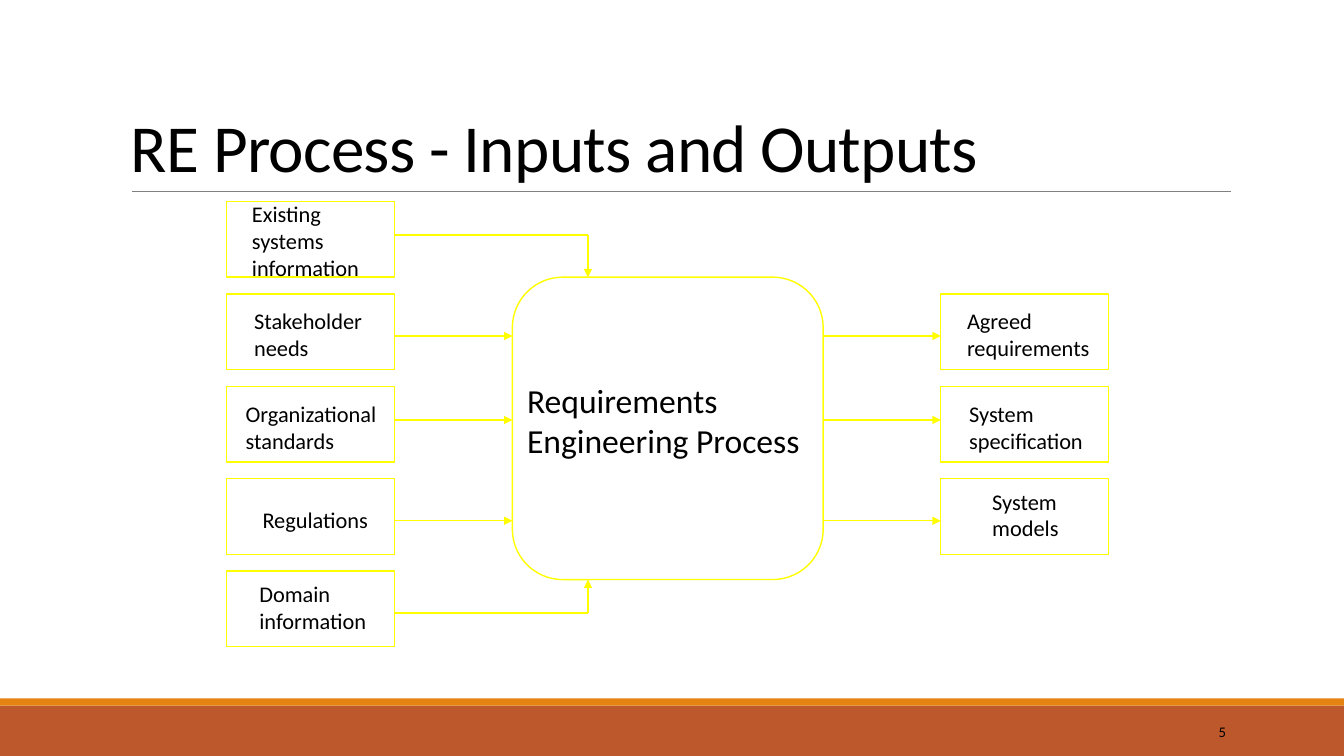
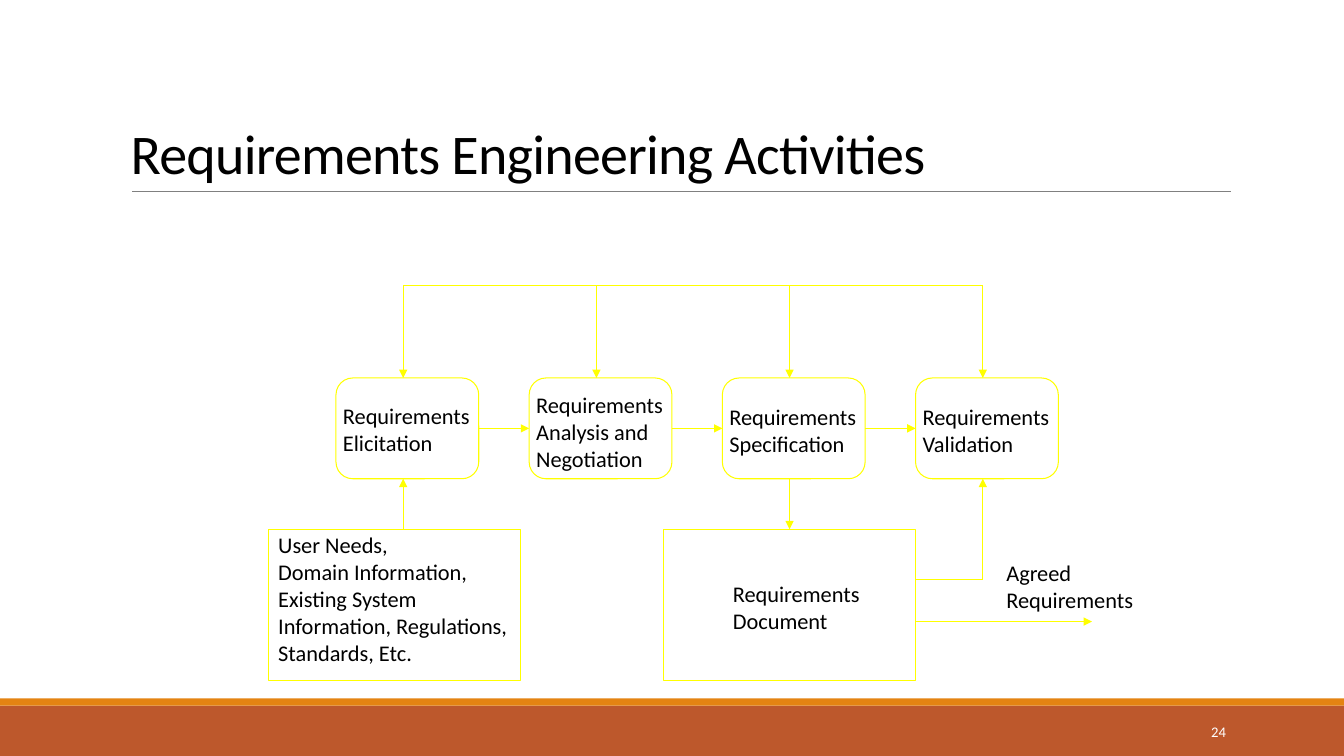
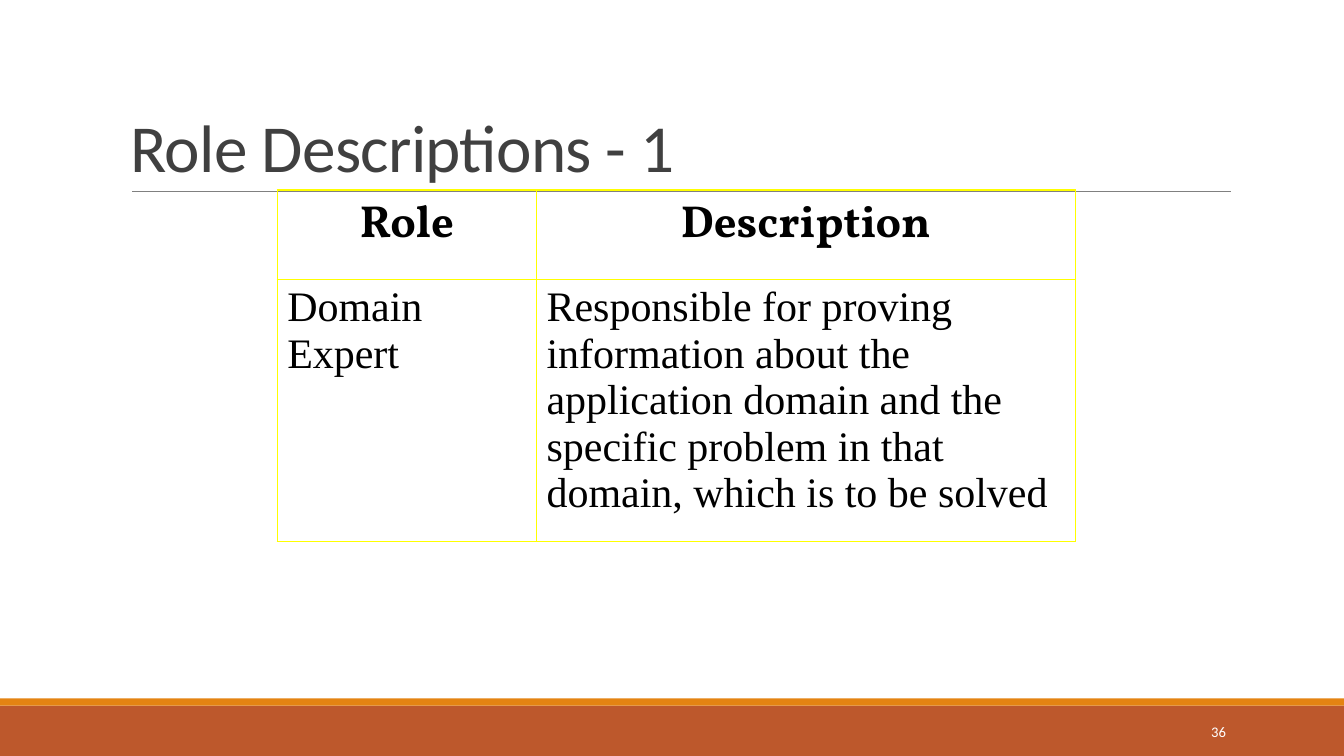
from lxml.etree import SubElement
from pptx import Presentation
from pptx.dml.color import RGBColor
from pptx.enum.shapes import MSO_CONNECTOR, MSO_SHAPE
from pptx.enum.text import MSO_ANCHOR as ANCHOR, PP_ALIGN as ALIGN
from pptx.oxml.ns import qn
from pptx.util import Pt

PX = 9525  # EMU per px, 96 px to the inch
RECT, ROUND = MSO_SHAPE.RECTANGLE, MSO_SHAPE.ROUNDED_RECTANGLE
YELLOW, BLACK, WHITE, DARK, GREY = "FFFF00", "000000", "FFFFFF", "404040", "808080"
RUST, ORANGE = "BD582C", "E48312"
rgb = RGBColor.from_string


def write(frame, lines, size, color=BLACK, font="Calibri", align=ALIGN.LEFT, bold=False):
    """Fill a text frame with one paragraph per line."""
    frame.word_wrap = True
    for i, line in enumerate(lines):
        paragraph = frame.add_paragraph() if i else frame.paragraphs[0]
        paragraph.alignment = align
        run = paragraph.add_run()
        run.text = line
        run.font.size, run.font.name, run.font.bold = Pt(size), font, bold
        run.font.color.rgb = rgb(color)


def draw_line(slide, x1, y1, x2, y2, weight, arrow=False, color=YELLOW):
    connector = slide.shapes.add_connector(
        MSO_CONNECTOR.STRAIGHT, x1 * PX, y1 * PX, x2 * PX, y2 * PX)
    connector.line.color.rgb = rgb(color)
    connector.line.width = Pt(weight)
    if arrow:
        SubElement(connector.line._get_or_add_ln(), qn("a:tailEnd"), type="triangle")
    SubElement(connector._element.spPr, qn("a:effectLst"))
    return connector


prs = Presentation()
prs.slide_width, prs.slide_height = 1280 * PX, 720 * PX

# Shared frame: bands, rule, title and page number
slides = []
for title, size, title_color, page, page_color in [
    ("RE Process - Inputs and Outputs", 48, BLACK, "5", BLACK),
    ("Requirements Engineering Activities", 40, BLACK, "24", WHITE),
    ("Role Descriptions - 1", 48, DARK, "36", WHITE),
]:
    slide = prs.slides.add_slide(prs.slide_layouts[6])
    slides.append(slide)
    for top, height, color in [(672, 48, RUST), (665, 7, ORANGE)]:
        band = slide.shapes.add_shape(RECT, 0, top * PX, 1280 * PX, height * PX)
        band.shadow.inherit = False
        band.fill.solid()
        band.fill.fore_color.rgb = rgb(color)
        band.line.fill.background()
    draw_line(slide, 126, 182, 1172, 182, 0.5, color=GREY)

    heading = slide.shapes.add_textbox(115 * PX, 30 * PX, 1056 * PX, 152 * PX).text_frame
    heading.vertical_anchor = ANCHOR.BOTTOM
    write(heading, [title], size, title_color)
    heading.paragraphs[0].line_spacing = 0.85
    heading.paragraphs[0].runs[0].font._element.set("spc", "-50")

    number = slide.shapes.add_textbox(1040 * PX, 678 * PX, 137 * PX, 38 * PX).text_frame
    number.vertical_anchor = ANCHOR.MIDDLE
    write(number, [page], 10.5, page_color, align=ALIGN.RIGHT)

process_slide, activity_slide, role_slide = slides

# Boxes: slide, outline, left, top, width, height, line weight, text size,
# left indent, downward nudge of the text, lines
boxes = [(process_slide, ROUND, 488, 264, 296, 288, 1, 24, 0, -8,
          ["Requirements", "Engineering Process"])]
for left, first_row, column in [
    (216, 0, [(24, 1, ["Existing", "systems", "information"]),
              (26, 2, ["Stakeholder", "needs"]),
              (18, 3, ["Organizational", "standards"]),
              (34, 3, ["Regulations"]),
              (31, -2, ["Domain", "information"])]),
    (896, 1, [(25, 2, ["Agreed", "requirements"]),
              (27, 3, ["System", "specification"]),
              (49, -2, ["System", "models"])]),
]:
    for row, (indent, nudge, lines) in enumerate(column, first_row):
        boxes.append((process_slide, RECT, left, 192 + 88 * row, 160, 72,
                      1, 16, indent, nudge, lines))
for i, (nudge, name) in enumerate([
    (1, ["Elicitation"]), (3, ["Analysis and", "Negotiation"]),
    (2, ["Specification"]), (2, ["Validation"]),
]):
    boxes.append((activity_slide, ROUND, 320 + 184 * i, 360, 136, 96,
                  0.75, 16, 2, nudge, ["Requirements"] + name))
boxes += [
    (activity_slide, RECT, 256, 504, 240, 144, 0.75, 16, 9, -6,
     ["User Needs,", "Domain Information,", "Existing System",
      "Information, Regulations,", "Standards, Etc."]),
    (activity_slide, RECT, 632, 504, 240, 144, 0.75, 16, 66, 2,
     ["Requirements", "Document"]),
]
drawn = []
for slide, outline, left, top, width, height, weight, size, indent, nudge, lines in boxes:
    box = slide.shapes.add_shape(outline, left * PX, top * PX, width * PX, height * PX)
    box.shadow.inherit = False
    box.fill.background()
    box.line.color.rgb = rgb(YELLOW)
    box.line.width = Pt(weight)
    frame = box.text_frame
    frame.vertical_anchor = ANCHOR.MIDDLE
    frame.margin_left, frame.margin_right = indent * PX, 0
    frame.margin_top, frame.margin_bottom = max(2 * nudge, 0) * PX, max(-2 * nudge, 0) * PX
    write(frame, lines, size)
    drawn.append(box)
activities, document = drawn[-6:-2], drawn[-1]

# Inputs into the process and outputs from it
for y in (320, 400, 496):
    for x in (376, 784):
        draw_line(process_slide, x, y, x + 112, y, 1, arrow=True)
for y, process_edge in [(224, 264), (584, 552)]:
    draw_line(process_slide, 376, y, 560, y, 1)
    draw_line(process_slide, 560, y, 560, process_edge, 1, arrow=True)

# Sequence and feedback between activities
draw_line(activity_slide, 384, 272, 936, 272, 0.75)
for x in range(384, 937, 184):
    draw_line(activity_slide, x, 272, x, 360, 0.75, arrow=True)
for before, after in zip(activities, activities[1:]):
    step = draw_line(activity_slide, 0, 0, 0, 0, 1, arrow=True)
    step.begin_connect(before, 3)
    step.end_connect(after, 1)

# Flows to and from the documents
draw_line(activity_slide, 384, 504, 384, 456, 0.75, arrow=True)
draw_line(activity_slide, 752, 456, 752, 504, 0.75, arrow=True).end_connect(document, 0)
draw_line(activity_slide, 872, 592, 1040, 592, 0.75, arrow=True)
draw_line(activity_slide, 872, 552, 936, 552, 0.75)
draw_line(activity_slide, 936, 552, 936, 456, 0.75, arrow=True)
agreed = activity_slide.shapes.add_textbox(949 * PX, 528 * PX, 142 * PX, 61 * PX)
write(agreed.text_frame, ["Agreed", "Requirements"], 16)

# Role table
roles = role_slide.shapes.add_table(2, 2, 264 * PX, 181 * PX, 760 * PX, 315 * PX).table
roles.first_row = roles.horz_banding = False
for column, width in zip(roles.columns, (247, 513)):
    column.width = width * PX
for row, height in zip(roles.rows, (85, 230)):
    row.height = height * PX
for r, texts in enumerate([
    ("Role", "Description"),
    ("Domain Expert", "Responsible for proving information about the application domain "
                      "and the specific problem in that domain, which is to be solved"),
]):
    for c, text in enumerate(texts):
        cell = roles.cell(r, c)
        for side in ("a:lnL", "a:lnR", "a:lnT", "a:lnB"):
            border = SubElement(cell._tc.get_or_add_tcPr(), qn(side), w=str(Pt(1)))
            fill = SubElement(border, qn("a:solidFill"))
            SubElement(fill, qn("a:srgbClr"), val=YELLOW)
        cell.fill.background()
        if r == 0:
            write(cell.text_frame, [text], 32, font="Vollkorn", align=ALIGN.CENTER, bold=True)
        else:
            write(cell.text_frame, [text], 30, font="Times New Roman")

prs.save("out.pptx")
